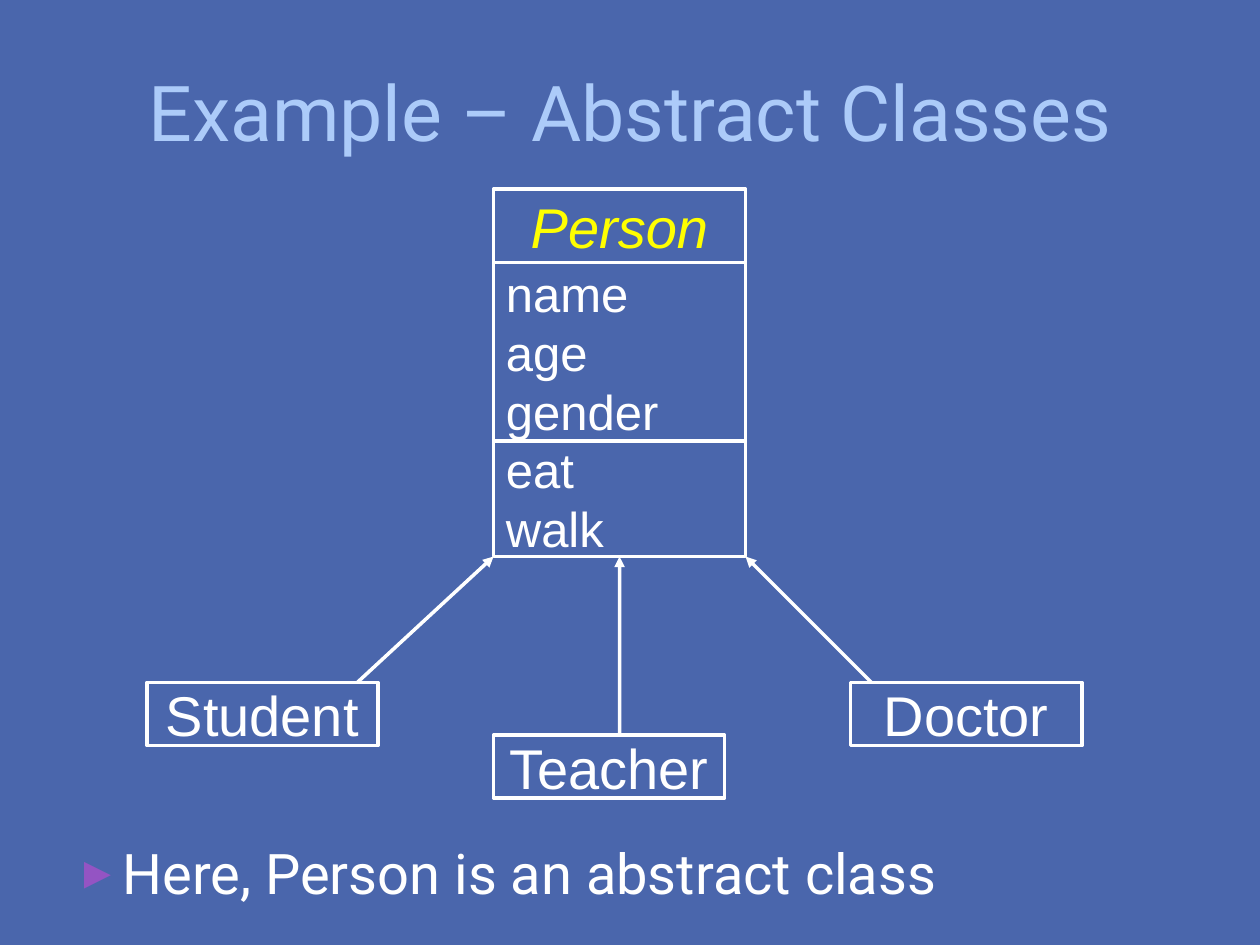
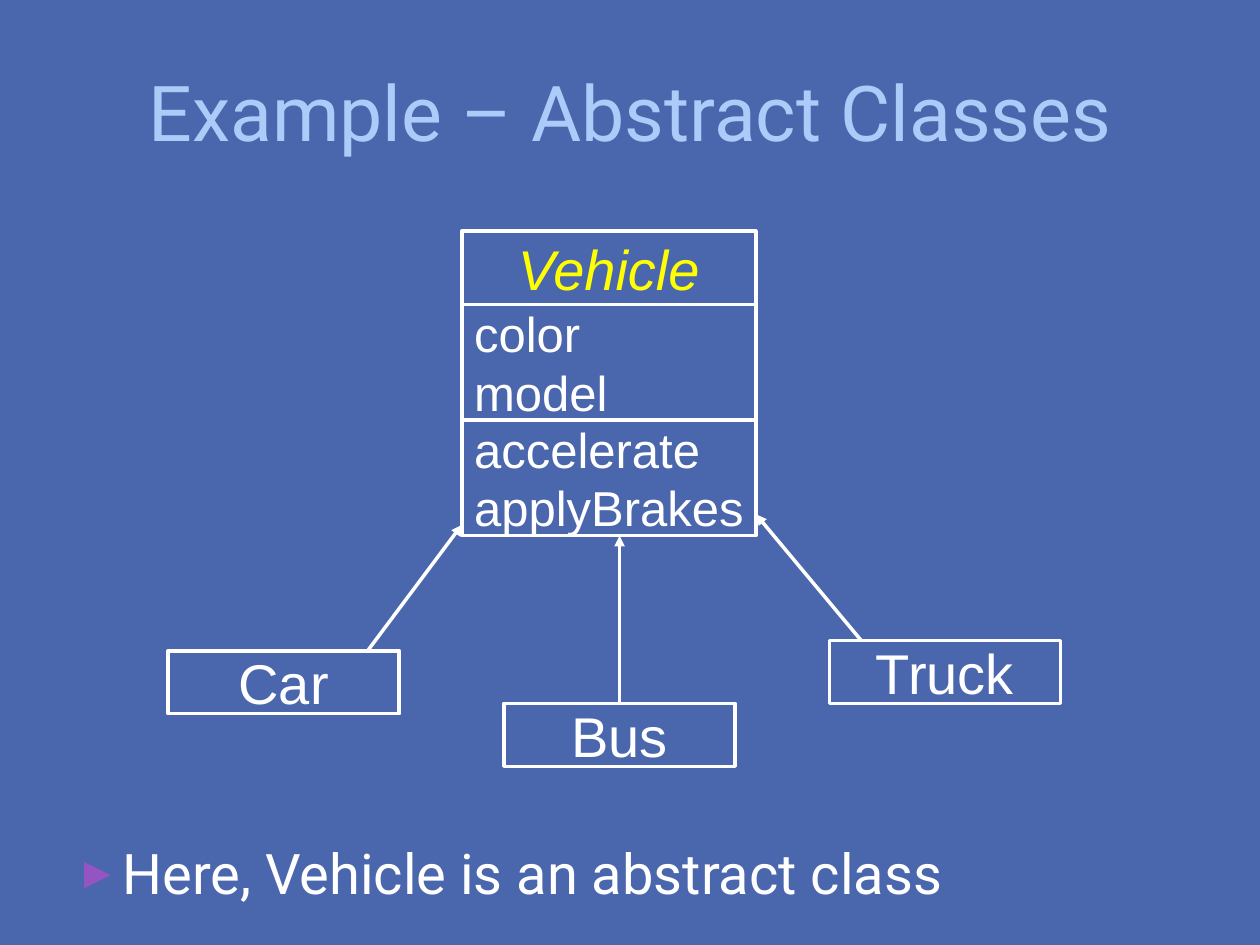
from lxml.etree import SubElement
from pptx import Presentation
from pptx.dml.color import RGBColor
from pptx.enum.shapes import MSO_CONNECTOR, MSO_SHAPE
from pptx.enum.text import MSO_ANCHOR, PP_ALIGN
from pptx.oxml.ns import qn
from pptx.util import Cm, Pt

BLUE, PALE, WHITE, YELLOW, PURPLE = "4A66AC", "ACCBF9", "FFFFFF", "FFFF00", "9454C3"
SUB_W, SUB_H = 4.66, 1.27       # subclass box, cm
NAME_H, LINE_H = 1.48, 1.27     # class name row and one member line, cm
TOP, BOTTOM = 0, 2              # connection sites of a rectangle


def color(value):
    return RGBColor.from_string(value)


def write(tf, text, size=28, font="Arial", fill=WHITE, italic=False,
          align=PP_ALIGN.LEFT, anchor=MSO_ANCHOR.MIDDLE, wrap=False):
    """Put each line of text in its own paragraph."""
    tf.word_wrap = wrap
    tf.vertical_anchor = anchor
    for i, line in enumerate(text.split("\n")):
        p = tf.add_paragraph() if i else tf.paragraphs[0]
        p.alignment = align
        r = p.add_run()
        r.text = line
        r.font.size, r.font.name, r.font.italic = Pt(size), font, italic
        r.font.color.rgb = color(fill)


class Deck:
    def __init__(self):
        self.prs = Presentation()
        self.prs.slide_width, self.prs.slide_height = Cm(25.4), Cm(19.05)
        self.s = None

    def slide(self, title):
        self.s = self.prs.slides.add_slide(self.prs.slide_layouts[6])
        self.s.background.fill.solid()
        self.s.background.fill.fore_color.rgb = color(BLUE)
        self.text(0.85, 0.64, 23.72, 3.18, title, size=44, fill=PALE,
                  align=PP_ALIGN.CENTER)

    def text(self, x, y, w, h, text, **style):
        sp = self.s.shapes.add_textbox(Cm(x), Cm(y), Cm(w), Cm(h))
        write(sp.text_frame, text, font="Roboto", wrap=True, **style)
        return sp.text_frame

    def bullet(self, text):
        tf = self.text(1.27, 16.93, 22.86, 1.59, text, size=32, anchor=MSO_ANCHOR.TOP)
        p = tf.paragraphs[0]
        p.line_spacing, p.space_before = 0.9, Pt(6.4)
        pPr = p._p.get_or_add_pPr()
        pPr.set("marL", str(Cm(0.95)))
        pPr.set("indent", str(-Cm(0.95)))
        SubElement(SubElement(pPr, qn("a:buClr")), qn("a:srgbClr"), val=PURPLE)
        SubElement(pPr, qn("a:buSzPct"), val="80000")
        SubElement(pPr, qn("a:buFont"), typeface="Arial")
        SubElement(pPr, qn("a:buChar"), char="►")

    def box(self, x, y, w, h, text, **style):
        sp = self.s.shapes.add_shape(MSO_SHAPE.RECTANGLE, Cm(x), Cm(y), Cm(w), Cm(h))
        sp.shadow.inherit = False
        sp.fill.background()
        sp.line.color.rgb, sp.line.width = color(WHITE), Pt(2)
        write(sp.text_frame, text, **style)
        return sp

    def class_box(self, x, y, w, name, *members):
        """Stack the name and member rows; return the bottom row."""
        self.box(x, y, w, NAME_H, name, size=32, fill=YELLOW, italic=True,
                 align=PP_ALIGN.CENTER)
        y += NAME_H
        for group in members:
            h = LINE_H * len(group) - 0.21
            row = self.box(x, y, w, h, "\n".join(group))
            y += h
        return row

    def subclass(self, x, y, name):
        return self.box(x, y, SUB_W, SUB_H, name, size=32, align=PP_ALIGN.CENTER)

    def arrow(self, start, end, child, parent):
        """Draw an arrow, joined wherever it meets the middle of a side."""
        ends = [Cm(v) for v in start + end]
        c = self.s.shapes.add_connector(MSO_CONNECTOR.STRAIGHT, *ends)

        def centred(x, sp):
            return abs(sp.left + sp.width // 2 - x) < Cm(0.03)

        if centred(ends[0], child):
            c.begin_connect(child, TOP)
        if centred(ends[2], parent):
            c.end_connect(parent, BOTTOM)
        c.line.color.rgb, c.line.width = color(WHITE), Pt(2)
        SubElement(c.line._get_or_add_ln(), qn("a:tailEnd"), type="triangle")
        SubElement(c._element.spPr, qn("a:effectLst"))


# Parent: left, top, width, name, attributes, operations
# Children: name, left, top, arrow start x, arrow end
EXAMPLES = [
    ((9.95, 3.81, 5.08, "Person", ["name", "age", "gender"], ["eat", "walk"]),
     [("Teacher", 9.95, 14.82, 12.49, (12.49, 11.22)),
      ("Doctor", 17.15, 13.76, 17.57, (15.03, 11.22)),
      ("Student", 2.96, 13.76, 7.2, (9.95, 11.22))]),
    ((9.31, 4.66, 5.93, "Vehicle", ["color", "model"], ["accelerate", "applyBrakes"]),
     [("Bus", 10.16, 14.18, 12.49, (12.49, 10.8)),
      ("Truck", 16.72, 12.91, 17.36, (15.24, 10.37)),
      ("Car", 3.39, 13.12, 7.41, (9.31, 10.58))]),
]


def main():
    deck = Deck()
    for parent, children in EXAMPLES:
        deck.slide("Example – Abstract Classes")
        # Class hierarchy
        bottom_row = deck.class_box(*parent)
        for name, x, y, start_x, end in children:
            child = deck.subclass(x, y, name)
            deck.arrow((start_x, y), end, child, bottom_row)
        # Conclusion
        deck.bullet(f"Here, {parent[3]} is an abstract class")
    deck.prs.save("out.pptx")


if __name__ == "__main__":
    main()
